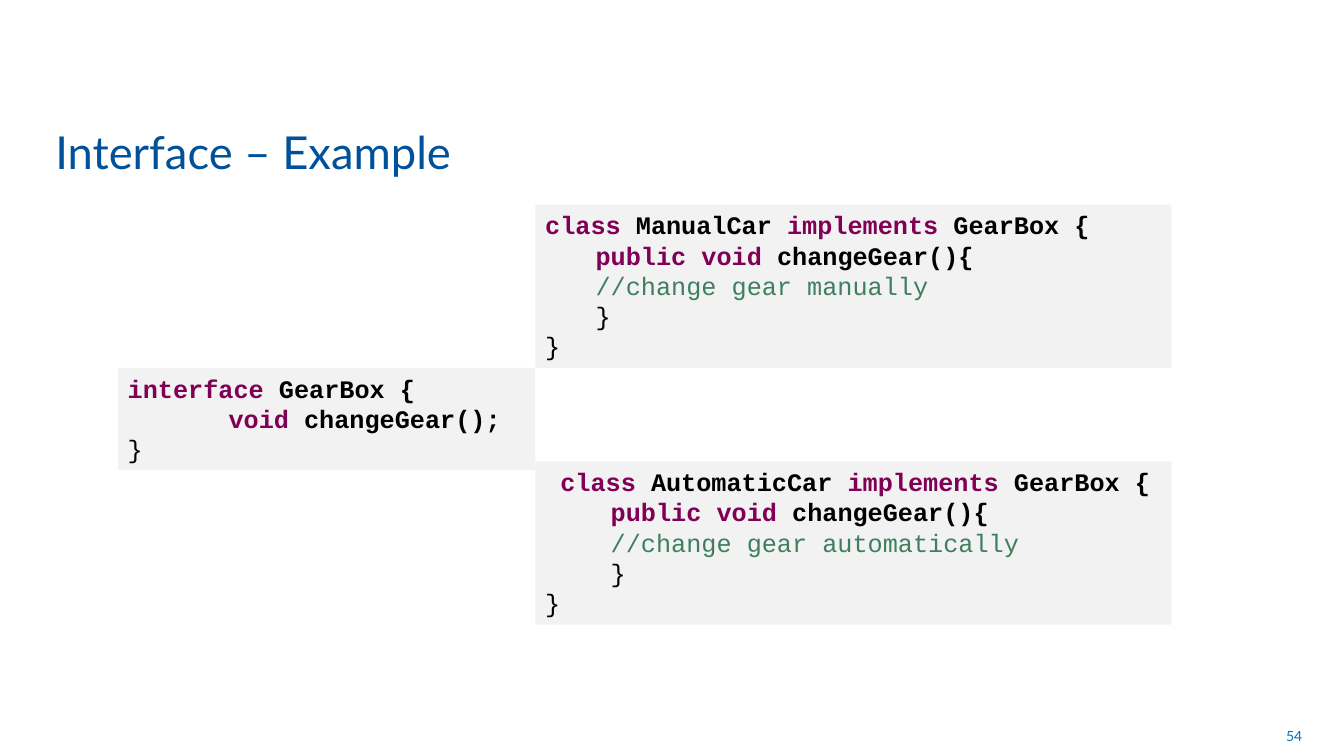
from dataclasses import dataclass

from pptx import Presentation
from pptx.dml.color import RGBColor
from pptx.enum.shapes import MSO_SHAPE
from pptx.enum.text import MSO_ANCHOR, MSO_AUTO_SIZE, PP_ALIGN
from pptx.slide import Slide
from pptx.text.text import TextFrame, _Paragraph
from pptx.util import Cm, Pt

RECT = MSO_SHAPE.RECTANGLE
TOP, MIDDLE, BOTTOM = MSO_ANCHOR.TOP, MSO_ANCHOR.MIDDLE, MSO_ANCHOR.BOTTOM
FIT, FIXED = MSO_AUTO_SIZE.SHAPE_TO_FIT_TEXT, MSO_AUTO_SIZE.NONE
LEFT, RIGHT = PP_ALIGN.LEFT, PP_ALIGN.RIGHT

BLUE = RGBColor(0x00, 0x51, 0x9C)
AZURE = RGBColor(0x00, 0x70, 0xC0)
GRAY = RGBColor(0xF2, 0xF2, 0xF2)
BLACK = RGBColor(0x00, 0x00, 0x00)
PURPLE = RGBColor(0x7F, 0x00, 0x55)
GREEN = RGBColor(0x3F, 0x7F, 0x5F)


@dataclass(frozen=True)
class Style:
    color: RGBColor
    size: float = 18
    bold: bool = False
    face: str = "Courier New"


KEY = Style(PURPLE, bold=True)
NAME = Style(BLACK, bold=True)
PLAIN = Style(BLACK)
NOTE = Style(GREEN)
TITLE = Style(BLUE, 32.4, face="Lato")
NUMBER = Style(AZURE, 10, face="Lato")


@dataclass(frozen=True)
class Line:
    words: tuple[tuple[str, Style], ...]
    indent: float = 0


@dataclass(frozen=True)
class Block:
    left: float
    top: float
    width: float
    height: float
    lines: tuple[Line, ...]


STEP = 1.27
CLOSE = Line((("}", PLAIN),))


def car_lines(name: str, note: str, pad: str = "") -> tuple[Line, ...]:
    return (
        Line(((pad, PLAIN), ("class ", KEY), (name, NAME),
              (" implements ", KEY), ("GearBox {", NAME))),
        Line(((pad, PLAIN), ("public void ", KEY), ("changeGear(){", NAME)), STEP),
        Line(((pad + note, NOTE),), STEP),
        Line(((pad + "}", PLAIN),), STEP),
        CLOSE,
    )


BLOCKS = (
    Block(2.97, 9.27, 10.52, 2.57, (
        Line((("interface ", KEY), ("GearBox {", NAME))),
        Line((("void ", KEY), ("changeGear();", NAME)), 2 * STEP),
        CLOSE,
    )),
    Block(13.49, 5.16, 16.03, 4.11,
          car_lines("ManualCar", "//change gear manually")),
    Block(13.49, 11.63, 16.03, 4.11,
          car_lines("AutomaticCar", "//change gear automatically", " ")),
)


def apply(target: object, values: dict[str, object]) -> None:
    for key, value in values.items():
        setattr(target, key, value)


def add_run(para: _Paragraph, text: str, style: Style) -> None:
    run = para.add_run()
    run.text = text
    apply(run.font, {"name": style.face, "size": Pt(style.size), "bold": style.bold})
    run.font.color.rgb = style.color


def add_lines(frame: TextFrame, lines: tuple[Line, ...]) -> None:
    for i, line in enumerate(lines):
        para = frame.add_paragraph() if i else frame.paragraphs[0]
        para.alignment = LEFT
        if line.indent:
            para.level = 1
            props = para._p.get_or_add_pPr()
            props.set("marL", str(Cm(line.indent)))
            props.set("indent", "0")
        for text, style in line.words:
            if text:
                add_run(para, text, style)


def add_block(slide: Slide, block: Block) -> None:
    shape = slide.shapes.add_shape(
        RECT, Cm(block.left), Cm(block.top), Cm(block.width), Cm(block.height))
    shape.shadow.inherit = False
    shape.fill.solid()
    shape.fill.fore_color.rgb = GRAY
    shape.line.fill.background()
    apply(shape.text_frame,
          {"word_wrap": True, "vertical_anchor": TOP, "auto_size": FIT})
    add_lines(shape.text_frame, block.lines)


def add_title(slide: Slide, text: str) -> None:
    title = slide.shapes.title
    apply(title, {"left": Cm(1.14), "top": Cm(2.87),
                  "width": Cm(25.35), "height": Cm(1.75)})
    apply(title.text_frame,
          {"word_wrap": True, "vertical_anchor": BOTTOM, "auto_size": FIXED})
    add_lines(title.text_frame, (Line(((text, TITLE),)),))


def add_number(slide: Slide, text: str) -> None:
    box = slide.shapes.add_textbox(Cm(25.17), Cm(18.03), Cm(7.9), Cm(1.02))
    apply(box.text_frame, {"word_wrap": True, "vertical_anchor": MIDDLE})
    para = box.text_frame.paragraphs[0]
    para.alignment = RIGHT
    add_run(para, text, NUMBER)


def main() -> None:
    deck = Presentation()
    apply(deck, {"slide_width": Cm(33.87), "slide_height": Cm(19.05)})
    slide = deck.slides.add_slide(deck.slide_layouts[5])
    add_title(slide, "Interface – Example")
    for block in BLOCKS:
        add_block(slide, block)
    add_number(slide, "54")
    deck.save("out.pptx")


if __name__ == "__main__":
    main()
